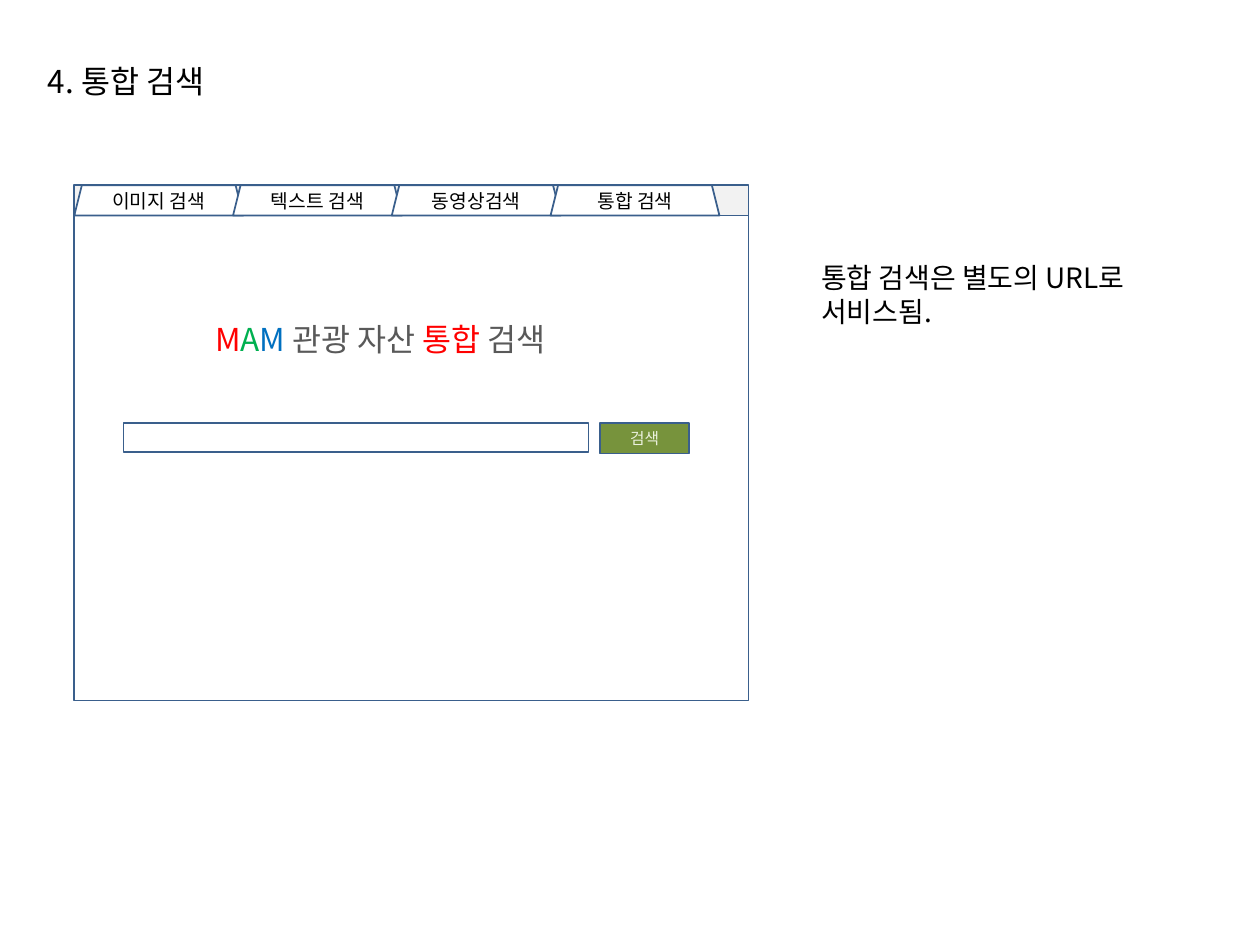
"""Build the integrated search screen slide."""
from dataclasses import dataclass

from lxml import etree
from pptx import Presentation
from pptx.dml.color import RGBColor
from pptx.enum import shapes, text
from pptx.oxml import ns
from pptx.util import Inches, Pt


@dataclass(frozen=True)
class Theme:
    font: str = "Noto Sans CJK KR"
    black: str = "000000"
    white: str = "FFFFFF"
    outline: str = "3A5F8C"
    strip: str = "F2F2F2"
    button: str = "77933C"
    button_text: str = "EBF1DE"
    red: str = "FF0000"
    green: str = "00B050"
    blue: str = "0070C0"
    gray: str = "595959"
    heading: int = 18
    note: int = 16
    tab: int = 11
    small: int = 9


theme = Theme()


def write(box, lines, size, color, align=text.PP_ALIGN.LEFT):
    frame = box.text_frame
    frame.text = "\n".join(lines)
    for para in frame.paragraphs:
        para.alignment = align
        para.font.size = Pt(size)
        para.font.name = theme.font
        para.font.color.rgb = RGBColor.from_string(color)
        etree.SubElement(para.font._element, ns.qn("a:ea"), typeface=theme.font)
    return frame


def draw(parent, kind, bounds, fill=None, label=None, size=theme.tab, color=theme.black):
    shape = parent.add_shape(kind, *map(Inches, bounds))
    shape.shadow.inherit = False
    shape.line.color.rgb = RGBColor.from_string(theme.outline)
    shape.line.width = Pt(1)
    if fill:
        shape.fill.solid()
        shape.fill.fore_color.rgb = RGBColor.from_string(fill)
    else:
        shape.fill.background()
    if label:
        frame = write(shape, [label], size, color, text.PP_ALIGN.CENTER)
        frame.vertical_anchor = text.MSO_ANCHOR.MIDDLE
        frame.margin_left = frame.margin_right = 0
        frame.margin_top = frame.margin_bottom = 0


deck = Presentation()
deck.slide_width, deck.slide_height = Inches(10), Inches(7.5)
page = deck.slides.add_slide(deck.slide_layouts[5])
rectangle = shapes.MSO_SHAPE.RECTANGLE

title = page.shapes.title
title.left, title.top, title.width, title.height = map(Inches, (0.28, 0.44, 1.59, 0.4))
draw(page.shapes, rectangle, (0.59, 1.7, 5.35, 3.86))
banner = page.shapes.add_textbox(*map(Inches, (1.61, 2.49, 3.21, 0.4)))
note = page.shapes.add_textbox(*map(Inches, (6.42, 2.02, 2.94, 0.64)))

write(title, ["4. 통합 검색"], theme.heading, theme.black)
write(banner, [""], theme.heading, theme.gray)
write(note, ["통합 검색은 별도의 URL로", "서비스됨."], theme.note, theme.black)
for box in (title, banner, note):
    box.text_frame.word_wrap = False
    box.text_frame.auto_size = text.MSO_AUTO_SIZE.SHAPE_TO_FIT_TEXT
    box.text_frame.vertical_anchor = text.MSO_ANCHOR.TOP

banner_words = [
    ("M", theme.red),
    ("A", theme.green),
    ("M ", theme.blue),
    ("관광 자산 ", theme.gray),
    ("통합", theme.red),
    (" 검색", theme.gray),
]
for word, color in banner_words:
    span = banner.text_frame.paragraphs[0].add_run()
    span.text = word
    span.font.color.rgb = RGBColor.from_string(color)

search = page.shapes.add_group_shape()
draw(search.shapes, rectangle, (0.98, 3.36, 3.69, 0.23))
draw(search.shapes, rectangle, (4.76, 3.36, 0.71, 0.24), theme.button,
     "검색", theme.small, theme.button_text)

draw(page.shapes, rectangle, (0.59, 1.47, 5.35, 0.24), theme.strip)
for index, label in enumerate(["이미지 검색", "텍스트 검색", "동영상검색", "통합 검색"]):
    draw(page.shapes, shapes.MSO_SHAPE.TRAPEZOID,
         (0.59 + 1.26 * index, 1.47, 1.34, 0.24), theme.white, label)

deck.save("out.pptx")
